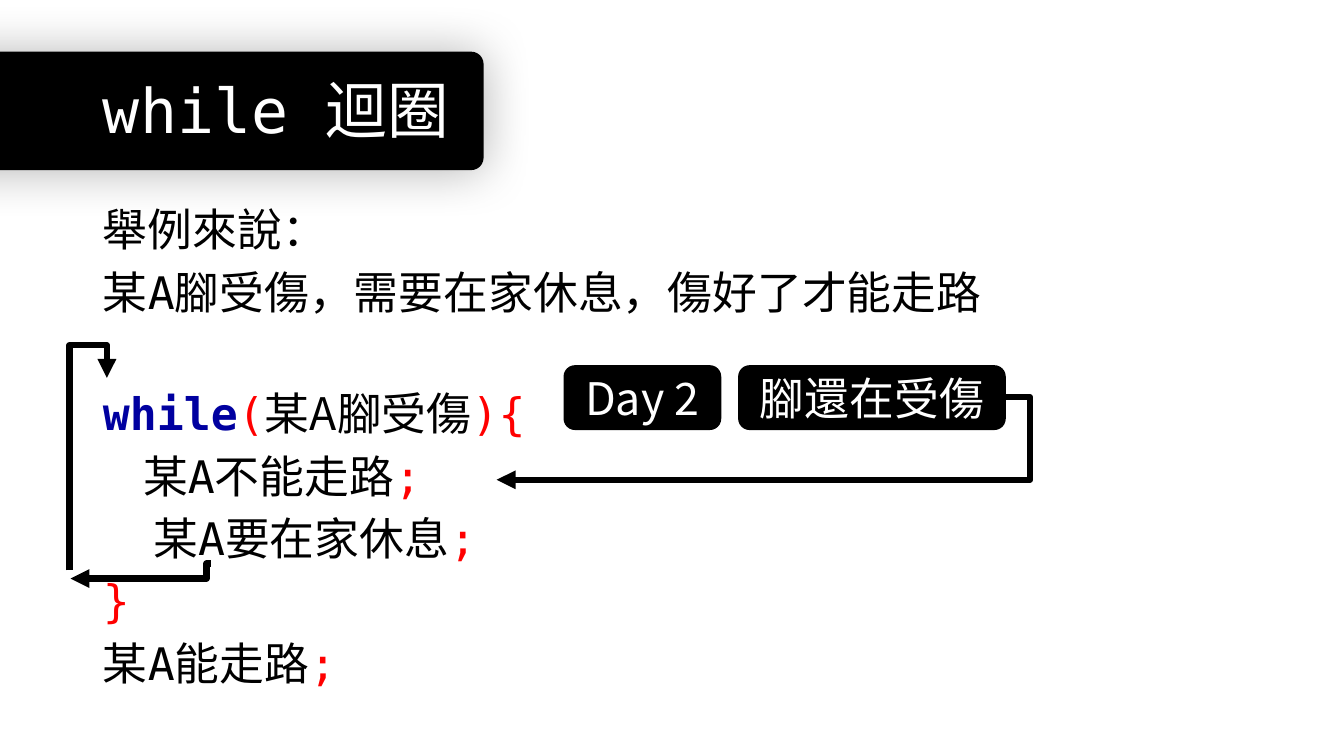
from pptx import Presentation
from pptx import util as u
from pptx.dml.color import RGBColor
from pptx.enum import shapes, text
from pptx.oxml import parse_xml
from pptx.oxml.ns import nsdecls, qn

BLACK = RGBColor(0, 0, 0)
WHITE = RGBColor(255, 255, 255)
RED = RGBColor(255, 0, 0)
NAVY = RGBColor(0, 0, 160)
MONO = "DejaVu Sans Mono"
SANS = "Noto Sans CJK TC"

TIGHT = u.Pt(34.5)
LOOSE = u.Pt(77)
SEMI = (";", RED, MONO)
LINES = [
    [("舉例來說：", BLACK, MONO)],
    [("某A腳受傷，需要在家休息，傷好了才能走路", BLACK, MONO)],
    [("while", NAVY, MONO), ("(", RED, MONO), ("某", BLACK, MONO),
     ("A腳受傷", BLACK, SANS), ("){", RED, MONO)],
    [("    某A", BLACK, MONO), ("不能走路", BLACK, SANS), SEMI],
    [("\t", BLACK, SANS), ("某A", BLACK, MONO), ("要在家休息", BLACK, SANS), SEMI],
    [("}", RED, MONO)],
    [("某A", BLACK, MONO), ("能走路", BLACK, SANS), SEMI],
]
TAGS = [("Day 2", 14.22, 3.94), ("腳還在受傷", 18.62, 6.71)]
# begin x, begin y, end x, end y, bend, turn in degrees
ARROWS = [
    (25.32, 10.01, 12.52, 12.09, -0.05, 0),
    (4.65, 12.42, -0.2, 11.48, 1.17, 90),
    (5.31, 14.2, 1.78, 14.58, 0.03, 0),
]


def write(para, runs, size=32, align=text.PP_ALIGN.LEFT, space=None, before=0):
    """Fill a paragraph with (words, colour, font) runs; navy runs are bold."""
    props = para._p.get_or_add_pPr()
    props.set("marL", "0")
    props.set("indent", "0")
    para.alignment = align
    para.line_spacing = space
    para.space_before = u.Pt(before)
    props.append(parse_xml(f"<a:buNone {nsdecls('a')}/>"))
    for words, color, face in runs:
        run = para.add_run()
        run.text = words
        font = run.font
        font.size = u.Pt(size)
        font.bold = color == NAVY
        font.color.rgb = color
        font.name = face
        east = parse_xml(f'<a:ea {nsdecls("a")} typeface="{SANS}"/>')
        font._element.find(qn("a:latin")).addnext(east)


class Deck:
    def __init__(self):
        self.show = Presentation()
        self.show.slide_width = u.Cm(33.87)
        self.show.slide_height = u.Cm(19.05)
        self.slide = self.show.slides.add_slide(self.show.slide_layouts[1])
        self.shapes = self.slide.shapes

    def place(self, holder, x, y, w, h, anchor):
        """Move a placeholder and return its text frame."""
        holder.left, holder.top = u.Cm(x), u.Cm(y)
        holder.width, holder.height = u.Cm(w), u.Cm(h)
        frame = holder.text_frame
        frame.word_wrap = True
        frame.auto_size = text.MSO_AUTO_SIZE.NONE
        frame.vertical_anchor = anchor
        return frame

    def title(self, words):
        holder = self.shapes.title
        frame = self.place(holder, 2.34, 1.02, 29.21, 3.68, text.MSO_ANCHOR.MIDDLE)
        write(frame.paragraphs[0], [(words, WHITE, MONO)], size=44, space=0.9)
        self.shapes._spTree.append(holder._element)  # above the banner

    def body(self, lines):
        holder = self.slide.placeholders[1]
        frame = self.place(holder, 2.34, 5.1, 29.21, 13.95, text.MSO_ANCHOR.TOP)
        for i, runs in enumerate(lines):
            para = frame.add_paragraph() if i else frame.paragraphs[0]
            space = LOOSE if runs[0][0] == "while" else TIGHT
            write(para, runs, space=space, before=10 if i else 0)

    def block(self, x, y, w, h, round=0.17):
        box = self.shapes.add_shape(shapes.MSO_SHAPE.ROUNDED_RECTANGLE,
                                    u.Cm(x), u.Cm(y), u.Cm(w), u.Cm(h))
        box.adjustments[0] = round
        box.shadow.inherit = False
        box.fill.solid()
        box.fill.fore_color.rgb = BLACK
        box.line.color.rgb = BLACK
        box.line.width = u.Pt(1)
        return box

    def banner(self):
        box = self.block(-5.38, 1.32, 17.55, 2.95, round=0.1)
        glow = parse_xml(
            f'<a:outerShdw {nsdecls("a")} blurRad="{u.Pt(36)}" dist="0" dir="0" '
            'algn="ctr" rotWithShape="0"><a:srgbClr val="000000">'
            '<a:alpha val="30000"/></a:srgbClr></a:outerShdw>')
        box._element.spPr.find(qn("a:effectLst")).append(glow)

    def tag(self, words, x, w):
        frame = self.block(x, 9.22, w, 1.6).text_frame
        frame.word_wrap = False
        frame.vertical_anchor = text.MSO_ANCHOR.MIDDLE
        write(frame.paragraphs[0], [(words, WHITE, SANS)], align=text.PP_ALIGN.CENTER)

    def arrow(self, x1, y1, x2, y2, bend, turn):
        link = self.shapes.add_connector(shapes.MSO_CONNECTOR.ELBOW,
                                         u.Cm(x1), u.Cm(y1), u.Cm(x2), u.Cm(y2))
        link.line.color.rgb = BLACK
        link.line.width = u.Pt(4.5)
        props = link._element.spPr
        props.find(qn("a:xfrm")).set("rot", str(turn * 60000))
        guides = props.find(qn("a:prstGeom")).get_or_add_avLst()
        guides.append(parse_xml(
            f'<a:gd {nsdecls("a")} name="adj1" fmla="val {round(bend * 100000)}"/>'))
        link.line._ln.append(parse_xml(f'<a:tailEnd {nsdecls("a")} type="triangle"/>'))
        props.append(parse_xml(f"<a:effectLst {nsdecls('a')}/>"))


def main():
    deck = Deck()
    deck.body(LINES)
    deck.banner()
    deck.title("while 迴圈")
    for tag in TAGS:
        deck.tag(*tag)
    for arrow in ARROWS:
        deck.arrow(*arrow)
    deck.show.save("out.pptx")


if __name__ == "__main__":
    main()
